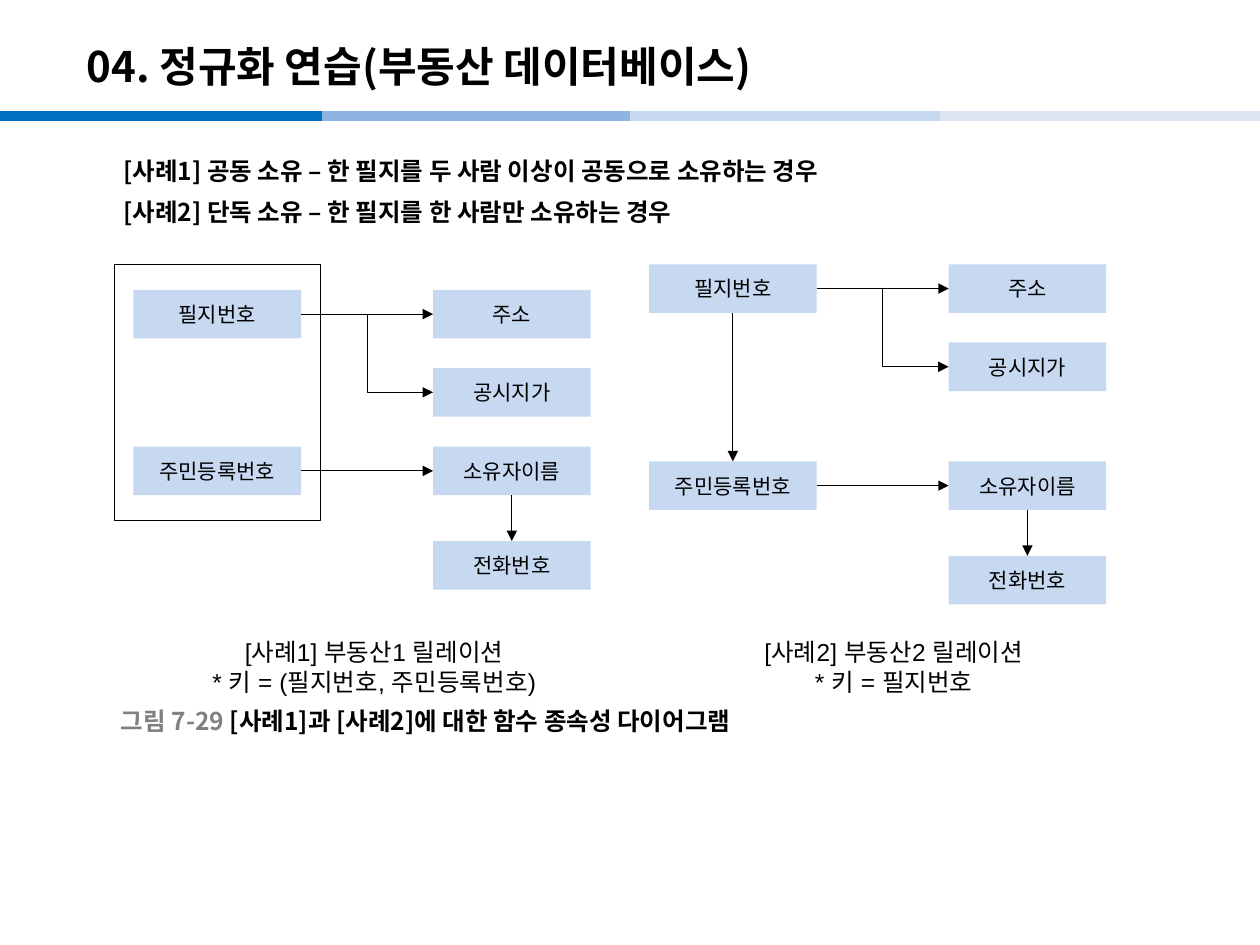
from dataclasses import dataclass

from lxml import etree
from pptx import Presentation
from pptx.dml.color import RGBColor
from pptx.enum import shapes, text
from pptx.oxml.ns import qn
from pptx.util import Pt

COLORS = {
    "ink": "000000", "paper": "FFFFFF", "muted": "808080", "box": "C6D9F1",
    "band1": "0070C0", "band2": "8EB4E3", "band3": "C6D9F1", "band4": "DCE6F2",
}
KOREAN = "Noto Sans CJK KR"
KEY_WIDTH, VALUE_WIDTH, BOX_HEIGHT = 95.8, 90, 27.8
VALUE_OFFSET, PRICE_DROP, PHONE_DROP = 171.2, 44.7, 54


@dataclass
class Box:
    label: str
    left: float
    top: float
    width: float

    @property
    def right(self) -> float:
        return self.left + self.width

    @property
    def center(self) -> float:
        return self.left + self.width / 2

    @property
    def middle(self) -> float:
        return self.top + BOX_HEIGHT / 2

    @property
    def bottom(self) -> float:
        return self.top + BOX_HEIGHT


@dataclass
class Case:
    left: float
    top: float
    owner_drop: float
    parcel_to_owner: bool
    caption: list[str]
    caption_left: float
    caption_width: float


CASES = [
    Case(76.3, 165.6, 89.6, False,
         ["[사례1] 부동산1 릴레이션", "* 키 = (필지번호, 주민등록번호)"], 54, 283.7),
    Case(370.9, 151, 112.6, True,
         ["[사례2] 부동산2 릴레이션", "* 키 = 필지번호"], 382.3, 221),
]


def color(name: str) -> RGBColor:
    return RGBColor.from_string(COLORS[name])


def set_font(paragraph, size: float, bold: bool = False, name: str = KOREAN) -> None:
    font = paragraph.font
    font.size, font.bold, font.name = Pt(size), bold, name
    font.color.rgb = color("ink")
    east_asian = etree.SubElement(font._rPr, qn("a:ea"))
    east_asian.set("typeface", name)


def add_text(slide, left: float, top: float, width: float, height: float,
             lines: list[str], size: float, bold: bool = False, name: str = KOREAN,
             anchor=text.MSO_ANCHOR.TOP, wrap: bool = True):
    frame = slide.shapes.add_textbox(Pt(left), Pt(top), Pt(width), Pt(height)).text_frame
    frame.word_wrap, frame.vertical_anchor = wrap, anchor
    for number, line in enumerate(lines):
        paragraph = frame.add_paragraph() if number else frame.paragraphs[0]
        if line:
            paragraph.add_run().text = line
        set_font(paragraph, size, bold, name)
    return frame


def set_indent(paragraph, margin: float, first_line: float = 0) -> None:
    properties = paragraph._p.get_or_add_pPr()
    properties.set("marL", str(Pt(margin)))
    properties.set("indent", str(Pt(first_line)))


def add_line(slide, x1: float, y1: float, x2: float, y2: float, ink: str = "ink",
             weight: float = 0.5, arrow: bool = True,
             kind=shapes.MSO_CONNECTOR.STRAIGHT) -> None:
    line = slide.shapes.add_connector(kind, Pt(x1), Pt(y1), Pt(x2), Pt(y2))
    line.line.color.rgb, line.line.width = color(ink), Pt(weight)
    if arrow:
        etree.SubElement(line.line._get_or_add_ln(), qn("a:tailEnd")).set("type", "triangle")
    etree.SubElement(line._element.spPr, qn("a:effectLst"))


def add_rectangle(slide, left: float, top: float, width: float, height: float, fill: str):
    rectangle = slide.shapes.add_shape(
        shapes.MSO_SHAPE.RECTANGLE, Pt(left), Pt(top), Pt(width), Pt(height))
    rectangle.shadow.inherit = False
    rectangle.fill.solid()
    rectangle.fill.fore_color.rgb = color(fill)
    rectangle.line.fill.background()
    return rectangle


def add_box(slide, box: Box) -> None:
    frame = add_rectangle(slide, box.left, box.top, box.width, BOX_HEIGHT, "box").text_frame
    frame.margin_left = frame.margin_right = Pt(3)
    frame.vertical_anchor = text.MSO_ANCHOR.MIDDLE
    label = frame.paragraphs[0]
    label.add_run().text = box.label
    label.alignment = text.PP_ALIGN.CENTER
    set_font(label, 12)


def add_case(slide, case: Case) -> None:
    value_left, owner_top = case.left + VALUE_OFFSET, case.top + case.owner_drop
    parcel = Box("필지번호", case.left, case.top, KEY_WIDTH)
    resident = Box("주민등록번호", case.left, owner_top, KEY_WIDTH)
    address = Box("주소", value_left, case.top, VALUE_WIDTH)
    price = Box("공시지가", value_left, case.top + PRICE_DROP, VALUE_WIDTH)
    owner = Box("소유자이름", value_left, owner_top, VALUE_WIDTH)
    phone = Box("전화번호", value_left, owner_top + PHONE_DROP, VALUE_WIDTH)
    for box in (parcel, resident, address, price, owner, phone):
        add_box(slide, box)

    # Dependencies
    for key, value in ((parcel, address), (resident, owner)):
        add_line(slide, key.right, key.middle, value.left, value.middle)
    add_line(slide, parcel.right, parcel.middle, price.left, price.middle,
             kind=shapes.MSO_CONNECTOR.ELBOW)
    downward = [(owner, phone)] + ([(parcel, resident)] if case.parcel_to_owner else [])
    for upper, lower in downward:
        add_line(slide, upper.center, upper.bottom, lower.center, lower.top)

    # Relation and key
    caption = add_text(slide, case.caption_left, 360.7, case.caption_width, 41,
                       case.caption, 14, name="Arial")
    for paragraph in caption.paragraphs:
        paragraph.alignment = text.PP_ALIGN.CENTER
        set_indent(paragraph, 36)


def main() -> None:
    deck = Presentation()
    deck.slide_width, deck.slide_height = Pt(720), Pt(540)
    slide = deck.slides.add_slide(deck.slide_layouts[6])

    # Header band and title
    for band, start in (("band1", 0), ("band2", 184.3), ("band3", 360), ("band4", 537)):
        add_line(slide, start, 66.2, start + 184.3, 66.2, band, 6, arrow=False)
    add_text(slide, 42.5, 15.8, 595.4, 43.2, ["04. 정규화 연습(부동산 데이터베이스)"],
             24, True, anchor=text.MSO_ANCHOR.MIDDLE)

    # Ownership cases
    ownership = add_text(slide, 42.5, 85.7, 635, 54, [
        "[사례1] 공동 소유 – 한 필지를 두 사람 이상이 공동으로 소유하는 경우",
        "[사례2] 단독 소유 – 한 필지를 한 사람만 소유하는 경우"], 14, True)
    for paragraph in ownership.paragraphs:
        paragraph.space_before, paragraph.space_after = Pt(2.8), Pt(4)
        set_indent(paragraph, 35.3, -14.4)

    # Composite key frame and dependency diagrams
    key_frame = add_rectangle(slide, 65.4, 151.2, 118, 146.2, "paper")
    key_frame.line.color.rgb, key_frame.line.width = color("ink"), Pt(0.5)
    for case in CASES:
        add_case(slide, case)

    # Figure caption
    figure = add_text(slide, 62, 400.5, 400, 22.3, ["그림 7-29 "], 14, True,
                      anchor=text.MSO_ANCHOR.MIDDLE).paragraphs[0]
    figure.runs[0].font.color.rgb = color("muted")
    figure.add_run().text = "[사례1]과 [사례2]에 대한 함수 종속성 다이어그램"

    deck.save("out.pptx")


if __name__ == "__main__":
    main()
